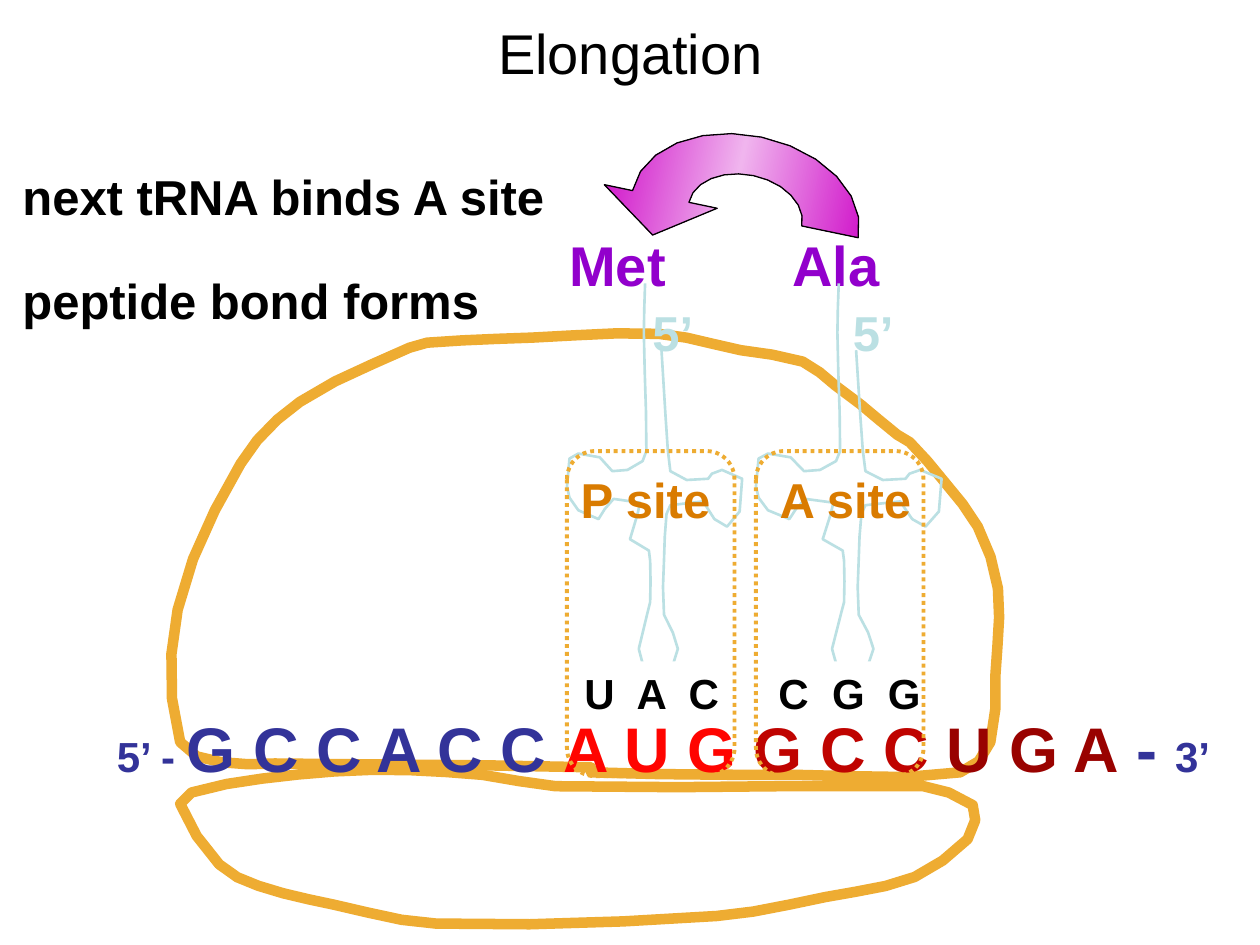
from copy import deepcopy
from dataclasses import dataclass
from math import cos, hypot, pi, sin

from pptx import Presentation
from pptx.dml.color import RGBColor
from pptx.enum.dml import MSO_LINE
from pptx.enum.shapes import MSO_SHAPE
from pptx.enum.text import MSO_ANCHOR, MSO_AUTO_SIZE, PP_ALIGN
from pptx.oxml.ns import qn
from pptx.util import Inches, Pt

RECT, ROUND = MSO_SHAPE.RECTANGLE, MSO_SHAPE.ROUNDED_RECTANGLE
DOTS = MSO_LINE.ROUND_DOT
LEFT, CENTER = PP_ALIGN.LEFT, PP_ALIGN.CENTER
TOP, MIDDLE = MSO_ANCHOR.TOP, MSO_ANCHOR.MIDDLE
GROW = MSO_AUTO_SIZE.SHAPE_TO_FIT_TEXT

# Grid: 100 columns by 75 rows of square cells
COLS, ROWS = 100, 75
CELL = Inches(0.1)
ARC = 12


@dataclass(frozen=True)
class Theme:
    font: str = "Arial"
    black: str = "000000"
    white: str = "FFFFFF"
    gold: str = "EEAC32"
    aqua: str = "BBE0E3"
    amber: str = "D97B00"
    plum: str = "9200CC"
    blue: str = "333399"
    reds: tuple = ("FF0400", "BF0300", "990200")
    blend: tuple = ("CC00C5", "F0B5EE")
    base: int = 36
    head: int = 32
    note: int = 28
    small: int = 24


THEME = Theme()

# Outlines as (column, row) knots
LARGE = [
    (46.9, 60.9), (21.8, 60.6), (17.6, 60.5), (14.3, 58.9), (14.1, 48.4),
    (19.1, 36.8), (23.8, 31.9), (32.5, 27.6), (33.9, 27.2), (42.2, 26.8),
    (52.3, 26.5), (58.8, 27.8), (63.7, 28.7), (66.3, 30.6), (68.3, 32.1),
    (71.2, 34.5), (72.2, 35.1), (73.6, 36.6), (75, 38.3), (77.6, 41.8),
    (79.2, 46.7), (79, 53.6), (78.6, 58.9), (76.2, 61.3), (63.2, 61.5),
    (46.9, 61.3)]
SMALL = [
    (44.1, 62.4), (38.3, 61.5), (29.5, 61.1), (20.8, 61.8), (15.2, 62.9),
    (14.3, 63.8), (17.4, 68.6), (20.5, 70.3), (26.5, 71.8), (34.6, 73.3),
    (56.9, 72.7), (65.5, 71.2), (72.6, 69.6), (76.8, 66.6), (77.4, 65.1),
    (77.2, 63.9), (75.3, 62.9), (73.3, 62.4)]
# Columns here count from the left edge of the tRNA
TRNA = [
    (7.5, 27.8), (8, 35.7), (8.2, 37.4), (9.5, 38.1), (11.2, 38),
    (11.5, 37.6), (12.3, 37.3), (13.9, 38), (13.7, 40.6), (12.7, 41.8),
    (11.7, 41.2), (10.8, 39.8), (8.2, 40.1), (7.9, 40.8), (7.7, 44.4),
    (7.7, 48.8), (8.4, 50.2), (8.8, 51.5), (8.3, 53.1), (7, 53.9),
    (6.3, 53.8), (5.7, 51.5), (6.4, 48.6), (6.6, 47.8), (6.6, 44.5),
    (6.5, 43.7), (5, 42.8), (5.6, 40.8), (5.8, 39.9), (3.7, 39.6),
    (3, 40.4), (2.5, 41.2), (0.9, 40.5), (0.2, 39.5), (0, 38.6),
    (0.2, 36.4), (0.9, 36), (2.6, 36.3), (3.6, 37.4), (4.8, 37.3),
    (6, 36.6), (6.3, 35.8), (6.1, 26.4), (6.2, 22.5)]


def cells(*counts):
    return [round(n * CELL) for n in counts]


def color(code):
    return RGBColor.from_string(code)


def smooth(knots, closed):
    """Points of a curve through the knots, more where they lie far apart."""
    count = len(knots)

    def knot(i):
        return knots[i % count if closed else max(0, min(i, count - 1))]

    def slope(i):
        (ax, ay), (bx, by) = knot(i - 1), knot(i + 1)
        size = hypot(bx - ax, by - ay) or 1
        return (bx - ax) / size, (by - ay) / size

    points = [knots[0]]
    for i in range(count if closed else count - 1):
        start, end = knot(i), knot(i + 1)
        reach = hypot(end[0] - start[0], end[1] - start[1]) / 3
        out, back = slope(i), slope(i + 1)
        steps = min(3, 1 + int(reach))
        for step in range(1, steps + 1):
            t = step / steps
            u = 1 - t
            points.append(tuple(
                u**3 * a + 3 * u * u * t * (a + reach * da)
                + 3 * u * t * t * (b - reach * db) + t**3 * b
                for a, da, b, db in zip(start, out, end, back)))
    return points


def trace(slide, points, line, width, closed=True):
    first, *rest = [cells(*point) for point in points]
    pen = slide.shapes.build_freeform(*first)
    pen.add_line_segments(rest, close=closed)
    shape = pen.convert_to_shape()
    shape.shadow.inherit = False
    shape.fill.background()
    shape.line.color.rgb = color(line)
    shape.line.width = Pt(width)
    return shape


def write(shape, runs, align=LEFT, anchor=TOP, wrap=False, bold=True):
    frame = shape.text_frame
    frame.word_wrap = wrap
    frame.vertical_anchor = anchor
    if not wrap:
        frame.auto_size = GROW
    para = frame.paragraphs[0]
    para.alignment = align
    for text, size, code in runs:
        run = para.add_run()
        run.text = text
        run.font.name = THEME.font
        run.font.size = Pt(size)
        run.font.bold = bold
        run.font.color.rgb = color(code)


def label(slide, box, runs, **style):
    write(slide.shapes.add_textbox(*cells(*box)), runs, **style)


def codon(slide, box, text):
    shape = slide.shapes.add_shape(RECT, *cells(*box))
    shape.shadow.inherit = False
    shape.fill.solid()
    shape.fill.fore_color.rgb = color(THEME.white)
    shape.line.fill.background()
    write(shape, [(text, THEME.small, THEME.black)])


def site(slide, left):
    shape = slide.shapes.add_shape(ROUND, *cells(left, 35.8, 13.3, 25.8))
    shape.adjustments[0] = 0.167
    shape.shadow.inherit = False
    shape.fill.background()
    shape.line.color.rgb = color(THEME.gold)
    shape.line.width = Pt(2.25)
    shape.line.dash_style = DOTS


def arrow(slide, mid, base, wide, high):
    """Half a ring that ends in an arrowhead on its left."""
    turns = [pi * i / ARC for i in range(ARC + 1)]
    inner = [(-cos(a) / 2, -sin(a) / 2) for a in turns]
    outer = [(cos(a), -sin(a)) for a in turns]
    tip = [(-1.25, 0), (-0.75, 0.5), (-0.25, 0)]
    shape = trace(slide, [(mid + x * wide, base + y * high)
                          for x, y in inner + outer + tip], THEME.black, 0.75)
    shape.rotation = 11.8
    shape.fill.gradient()
    shape.fill.gradient_angle = 0
    edge, glow = THEME.blend
    for stop in shape.fill.gradient_stops:
        stop.color.rgb = color(edge)
    # Middle stop of the blend
    stops = shape._element.spPr.find(qn("a:gradFill")).find(qn("a:gsLst"))
    stops.insert(1, deepcopy(stops[0]))
    center = shape.fill.gradient_stops[1]
    center.position = 0.5
    center.color.rgb = color(glow)


def main():
    deck = Presentation()
    deck.slide_width, deck.slide_height = cells(COLS, ROWS)
    slide = deck.slides.add_slide(deck.slide_layouts[6])
    t = THEME

    label(slide, (1.7, 0.8, 96.7, 6.7), [("Elongation", t.head, t.black)],
          align=CENTER, anchor=MIDDLE, wrap=True, bold=False)

    # Ribosome and amino acids
    label(slide, (61.9, 17.8, 8.9, 6.3), [("Ala", t.head, t.plum)])
    for knots in (LARGE, SMALL):
        trace(slide, smooth(knots, True), t.gold, 6)
    label(slide, (44.2, 17.8, 9.7, 6.3), [("Met", t.head, t.plum)])

    # tRNAs with their anticodons
    curve = smooth(TRNA, False)
    for left, scale, box, text in (
            (45, 1, (45.4, 52.5, 12.9, 5), "U  A  C"),
            (60, 1.06, (60.8, 52.5, 13.3, 5), "C  G  G")):
        trace(slide, [(left + x * scale, y) for x, y in curve],
              t.aqua, 1.5, closed=False)
        codon(slide, box, text)

    # Messenger strand
    parts = zip(("A U G ", "G C C ", "U G A"), t.reds)
    label(slide, (8.3, 55.8, 89.7, 7), [
        ("5’ - ", t.small, t.blue), ("G C C A C C ", t.base, t.blue),
        *((text, t.base, code) for text, code in parts),
        (" - ", t.base, t.blue), ("3’", t.small, t.blue)])

    # Binding sites and notes
    for left in (60, 45):
        site(slide, left)
    for left in (50.8, 66.7):
        label(slide, (left, 23.5, 5.3, 5.7), [("5’", t.note, t.aqua)])
    for row, wide, text in ((12.7, 44, "next tRNA binds A site"),
                            (21, 38.4, "peptide bond forms")):
        label(slide, (0.8, row, wide, 5.7), [(text, t.note, t.black)])
    arrow(slide, 59.5, 16.8, 9.15, 6.25)
    for left, wide, text in ((45.1, 12.4, "P site"), (60.9, 12.6, "A site")):
        label(slide, (left, 36.8, wide, 5.7), [(text, t.note, t.amber)])

    deck.save("out.pptx")


if __name__ == "__main__":
    main()
